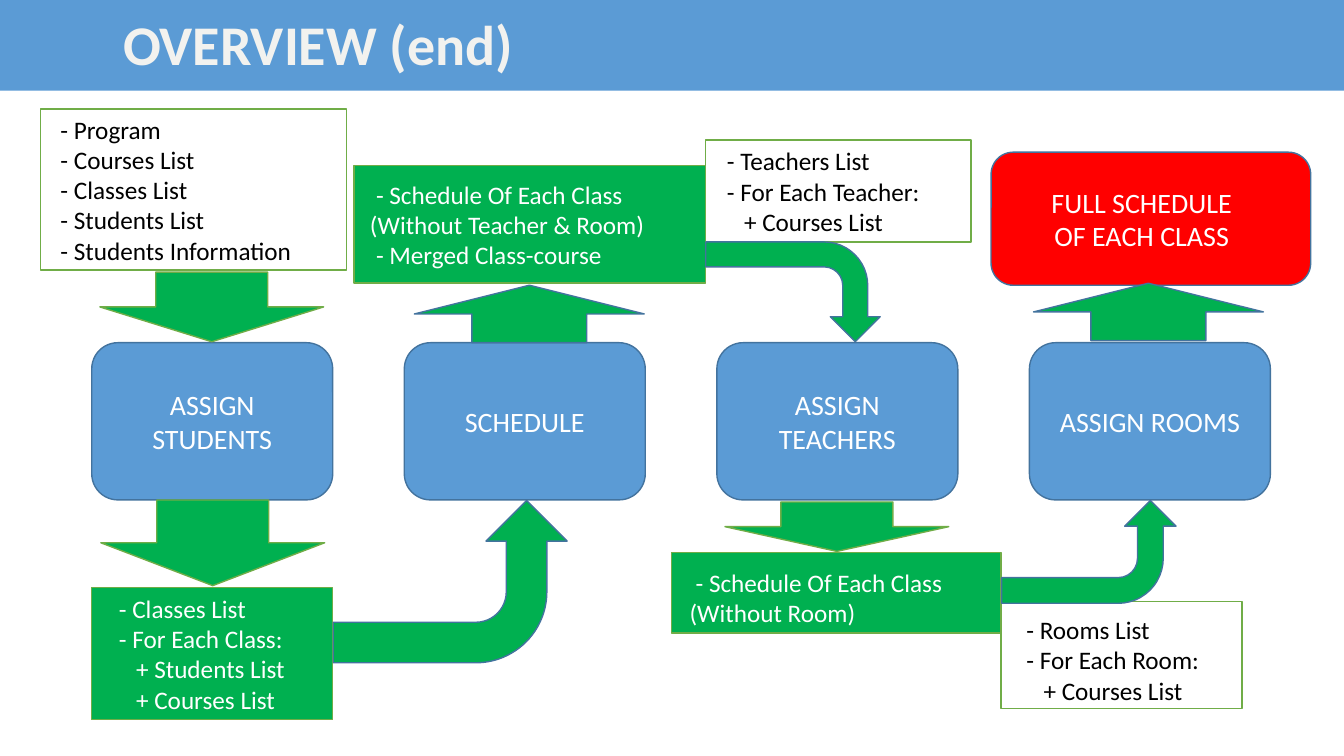
import pptx
import pptx.util
from pptx.dml.color import RGBColor
from pptx.enum.shapes import MSO_SHAPE
from pptx.enum.text import MSO_ANCHOR, MSO_AUTO_SIZE, PP_ALIGN
from pptx.oxml.ns import qn
from pptx.util import Inches

BLUE, GREEN, RED, WHITE, BLACK = "5B9BD5", "00B050", "FF0000", "FFFFFF", "000000"
BLUE_EDGE, GREEN_EDGE = "43739E", "70AD47"
LINE_INDENTS = {"(": 0, "-": 0.06, "+": 0.23}

presentation = pptx.Presentation()
presentation.slide_width = Inches(13.33)
presentation.slide_height = Inches(7.5)
slide = presentation.slides.add_slide(presentation.slide_layouts[5])


def add_block(kind, bounds, fill, edge):
    shape = slide.shapes.add_shape(kind, *[Inches(length) for length in bounds])
    shape.shadow.inherit = False
    shape.fill.solid()
    shape.fill.fore_color.rgb = RGBColor.from_string(fill)
    shape.line.color.rgb = RGBColor.from_string(edge)
    shape.line.width = pptx.util.Pt(1)
    return shape


def write_lines(shape, lines, size, color, alignment):
    frame = shape.text_frame
    frame.word_wrap = True
    frame.vertical_anchor = MSO_ANCHOR.MIDDLE
    frame.text = "\n".join(lines)
    for paragraph in frame.paragraphs:
        paragraph.alignment = alignment
        paragraph.font.name = "Calibri"
        paragraph.font.size = pptx.util.Pt(size)
        paragraph.font.color.rgb = RGBColor.from_string(color)


# Title band
title = slide.shapes.title
title.left, title.top = 0, 0
title.width, title.height = presentation.slide_width, Inches(0.9)
title.fill.solid()
title.fill.fore_color.rgb = RGBColor.from_string(BLUE)
write_lines(title, ["OVERVIEW (end)"], 40, "F2F2EF", PP_ALIGN.LEFT)
title.text_frame.paragraphs[0].font.bold = True
title.text_frame.auto_size = MSO_AUTO_SIZE.NONE
title.text_frame.margin_left = Inches(1.22)
title.text_frame.margin_bottom = Inches(0.1)

# Final result
result = add_block(MSO_SHAPE.ROUNDED_RECTANGLE, (9.83, 1.51, 3.17, 1.32), RED, BLUE_EDGE)
write_lines(result, ["FULL SCHEDULE", "OF EACH CLASS"], 20, WHITE, PP_ALIGN.CENTER)
result.text_frame.margin_right = Inches(0.28)

# Data boxes: bounds, fill, text colour, left inset, top inset, lines
data_boxes = [
    ((9.93, 5.97, 2.39, 1.06), WHITE, BLACK, 0.19, 0.09,
     ["- Rooms List", "- For Each Room:", "+ Courses List"]),
    ((6.66, 5.48, 3.27, 0.8), GREEN, WHITE, 0.18, 0.09,
     ["- Schedule Of Each Class", "(Without Room)"]),
    ((7, 1.39, 2.63, 1.01), WHITE, BLACK, 0.15, 0,
     ["- Teachers List", "- For Each Teacher:", "+ Courses List"]),
    ((3.51, 1.64, 3.49, 1.17), GREEN, WHITE, 0.16, 0,
     ["- Schedule Of Each Class", "(Without Teacher & Room)", "- Merged Class-course"]),
    ((0.91, 5.83, 2.39, 1.31), GREEN, WHITE, 0.21, 0,
     ["- Classes List", "- For Each Class:", "+ Students List", "+ Courses List"]),
    ((0.4, 1.08, 3.04, 1.6), WHITE, BLACK, 0.14, 0,
     ["- Program", "- Courses List", "- Classes List", "- Students List",
      "- Students Information"]),
]
for bounds, fill, color, left_inset, top_inset, lines in data_boxes:
    box = add_block(MSO_SHAPE.RECTANGLE, bounds, fill, GREEN_EDGE)
    write_lines(box, lines, 18, color, PP_ALIGN.LEFT)
    box.text_frame.margin_left = Inches(left_inset)
    box.text_frame.margin_top = Inches(top_inset)
    box.text_frame.margin_bottom = 0
    for paragraph, line in zip(box.text_frame.paragraphs, lines):
        indent = Inches(LINE_INDENTS[line[0]])
        paragraph._p.get_or_add_pPr().set("marL", str(indent))

# Process steps
steps = ["ASSIGN STUDENTS", "SCHEDULE", "ASSIGN TEACHERS", "ASSIGN ROOMS"]
for index, step in enumerate(steps):
    bounds = (0.91 + 3.1 * index, 3.4, 2.39, 1.56)
    shape = add_block(MSO_SHAPE.ROUNDED_RECTANGLE, bounds, BLUE, BLUE_EDGE)
    write_lines(shape, [step], 20, WHITE, PP_ALIGN.CENTER)

# Straight arrows
for bounds in [(0.99, 2.7, 2.22, 0.69), (1, 4.96, 2.22, 0.85), (7.19, 4.98, 2.22, 0.49)]:
    add_block(MSO_SHAPE.DOWN_ARROW, bounds, GREEN, GREEN_EDGE)
for bounds in [(4.11, 2.83, 2.28, 0.57), (10.25, 2.81, 2.28, 0.57)]:
    add_block(MSO_SHAPE.UP_ARROW, bounds, GREEN, BLUE_EDGE)

# Bent arrows: bounds before the quarter turn, and whether the arrow points up
bent_arrows = [
    ((7.37, 2.03, 0.99, 1.73), False),
    ((3.66, 4.61, 1.61, 2.32), True),
    ((10.29, 4.61, 1.02, 1.73), True),
]
for bounds, points_up in bent_arrows:
    arrow = add_block(MSO_SHAPE.BENT_ARROW, bounds, GREEN, BLUE_EDGE)
    arrow.rotation = 90
    if points_up:
        arrow._element.spPr.find(qn("a:xfrm")).set("flipH", "1")

presentation.save("out.pptx")
